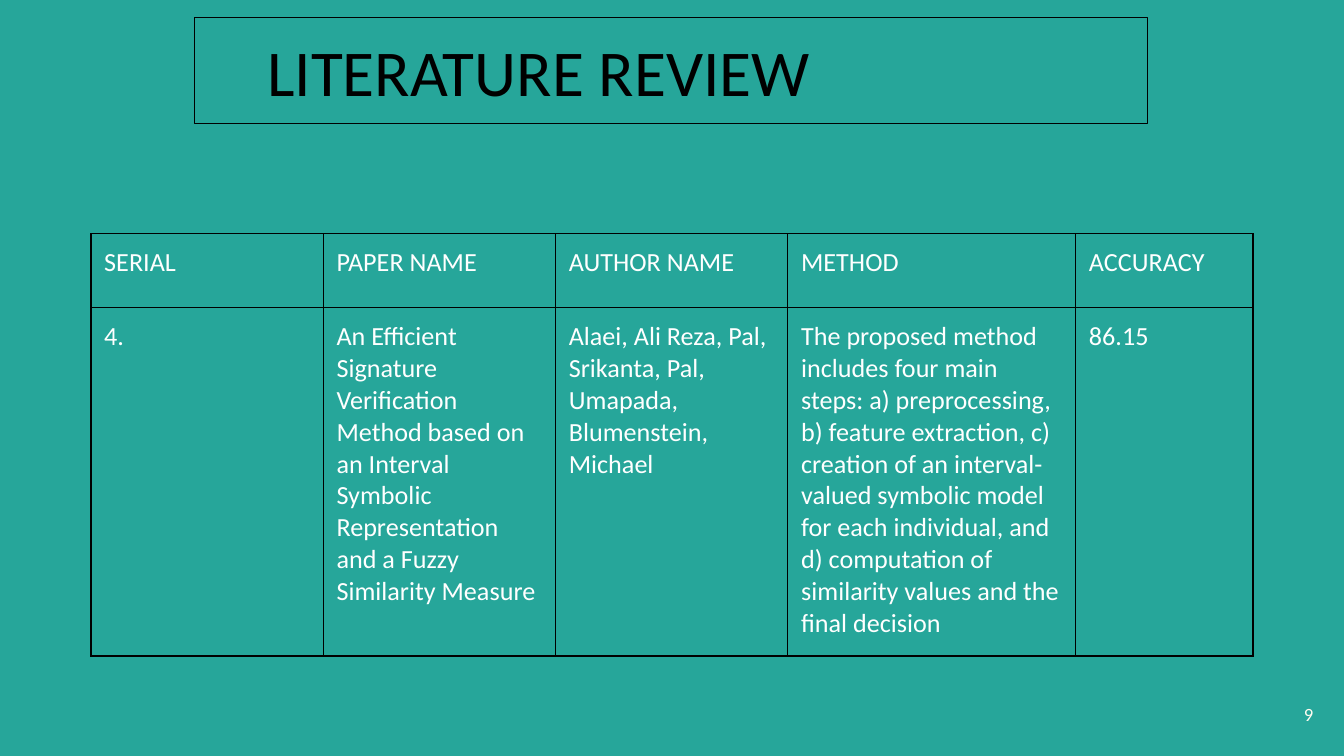
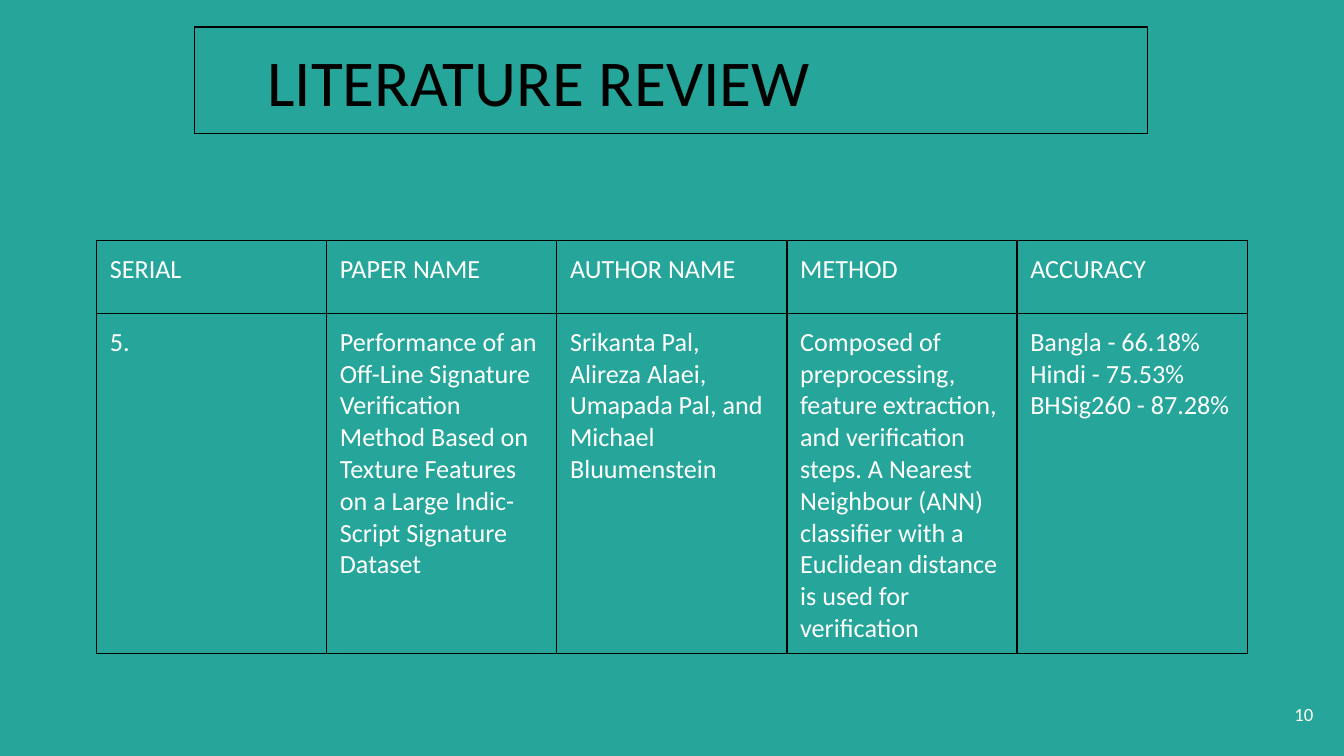
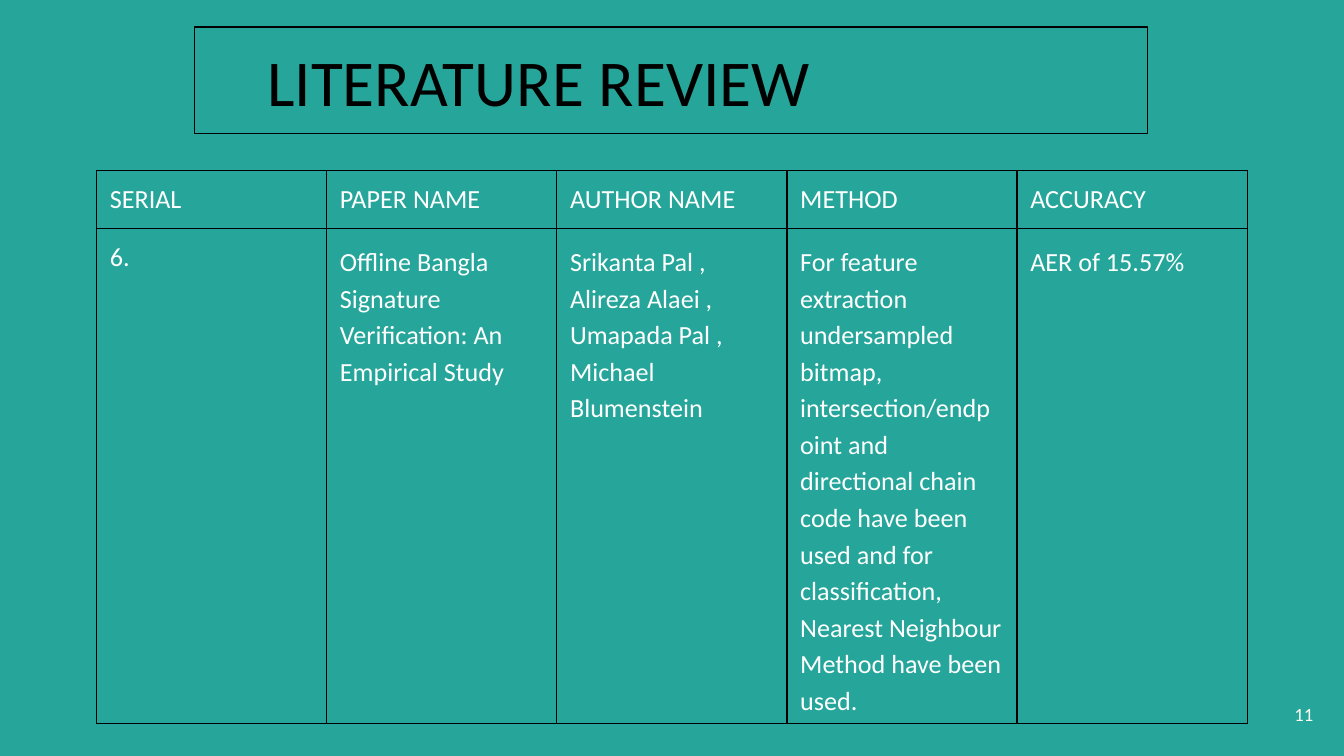
from dataclasses import dataclass

import pptx
import pptx.dml.color
import pptx.enum.shapes
import pptx.enum.text
import pptx.oxml.ns
import pptx.util
from lxml import etree
from pptx.util import Cm


@dataclass(frozen=True)
class Theme:
    background: str = "26A69A"
    ink: str = "000000"
    cell_text: str = "FFFFFF"
    number_text: str = "FFFBF0"
    font: str = "Calibri"
    title_size: int = 35
    table_size: int = 14
    number_size: int = 10
    line_width: float = 0.75
    inset: float = 0.25
    title_indent: float = 1.12


HEADINGS = ["SERIAL", "PAPER NAME", "AUTHOR NAME", "METHOD", "ACCURACY"]
EQUAL_COLUMNS = [4.35] * len(HEADINGS)

REVIEWS = [
    dict(
        number=9, title_top=0.33, table_top=4.42,
        columns=[4.39, 4.39, 4.39, 5.44, 3.35], rows=[1.4, 6.58], spacing=None,
        entry=[
            "4.",
            "An Efficient Signature Verification Method based on an Interval "
            "Symbolic Representation and a Fuzzy Similarity Measure",
            "Alaei, Ali Reza, Pal, Srikanta, Pal, Umapada, Blumenstein, Michael",
            "The proposed method includes four main steps: a) preprocessing, "
            "b) feature extraction, c) creation of an interval-valued symbolic "
            "model for each individual, and d) computation of similarity values "
            "and the final decision",
            "86.15",
        ],
    ),
    dict(
        number=10, title_top=0.51, table_top=4.55,
        columns=EQUAL_COLUMNS, rows=[1.37, 6.38], spacing=None,
        entry=[
            "5.",
            "Performance of an Off-Line Signature Verification Method Based on "
            "Texture Features on a Large Indic-Script Signature Dataset",
            "Srikanta Pal, Alireza Alaei, Umapada Pal, and Michael Bluumenstein",
            "Composed of preprocessing, feature extraction, and verification "
            "steps. A Nearest Neighbour (ANN) classifier with a Euclidean "
            "distance is used for verification",
            "Bangla - 66.18%\nHindi - 75.53%\nBHSig260 - 87.28%",
        ],
    ),
    dict(
        number=11, title_top=0.51, table_top=3.23,
        columns=EQUAL_COLUMNS, rows=[0.99, 8.46], spacing=1.15,
        entry=[
            "6.",
            "Offline Bangla Signature Verification: An Empirical Study",
            "Srikanta Pal , Alireza Alaei , Umapada Pal , Michael Blumenstein",
            "For feature extraction undersampled bitmap, intersection/endpoint "
            "and directional chain code have been used and for classification, "
            "Nearest Neighbour Method have been used.",
            "AER of 15.57%",
        ],
    ),
]


def rgb(code):
    return pptx.dml.color.RGBColor.from_string(code)


class Deck:
    def __init__(self, theme):
        self.theme = theme
        self.presentation = pptx.Presentation()
        self.presentation.slide_width = Cm(25.4)
        self.presentation.slide_height = Cm(14.29)
        self.slide = None

    def new_slide(self):
        blank = self.presentation.slide_layouts[6]
        self.slide = self.presentation.slides.add_slide(blank)
        fill = self.slide.background.fill
        fill.solid()
        fill.fore_color.rgb = rgb(self.theme.background)

    def set_insets(self, holder):
        """Give a text frame or a table cell the shared inner margins."""
        holder.margin_left = holder.margin_right = Cm(self.theme.inset)
        holder.margin_top = holder.margin_bottom = Cm(self.theme.inset)

    def add_text(self, frame, text, size, color, align="LEFT", spacing=None):
        """Fill a text frame, one paragraph for each line of text."""
        frame.word_wrap = True
        for index, line in enumerate(text.split("\n")):
            paragraph = frame.add_paragraph() if index else frame.paragraphs[0]
            paragraph.alignment = pptx.enum.text.PP_ALIGN[align]
            if spacing:
                paragraph.line_spacing = spacing
            run = paragraph.add_run()
            run.text = line
            run.font.name = self.theme.font
            run.font.size = pptx.util.Pt(size)
            run.font.color.rgb = rgb(color)

    def title(self, text, top):
        theme = self.theme
        banner = self.slide.shapes.add_shape(
            pptx.enum.shapes.MSO_SHAPE.RECTANGLE,
            Cm(3.68), Cm(top), Cm(18.01), Cm(2.01))
        banner.shadow.inherit = False
        banner.fill.background()
        banner.line.color.rgb = rgb(theme.ink)
        banner.line.width = pptx.util.Pt(theme.line_width)
        frame = banner.text_frame
        self.set_insets(frame)
        frame.vertical_anchor = pptx.enum.text.MSO_ANCHOR.MIDDLE
        self.add_text(frame, text, theme.title_size, theme.ink)
        properties = frame.paragraphs[0]._p.get_or_add_pPr()
        properties.set("marL", str(Cm(theme.title_indent)))

    def page_number(self, number):
        box = self.slide.shapes.add_textbox(
            Cm(23.55), Cm(12.95), Cm(1.52), Cm(1.09))
        frame = box.text_frame
        self.set_insets(frame)
        frame.vertical_anchor = pptx.enum.text.MSO_ANCHOR.MIDDLE
        self.add_text(frame, str(number), self.theme.number_size,
                      self.theme.number_text, "RIGHT")

    def outline(self, cell):
        qn = pptx.oxml.ns.qn
        properties = cell._tc.get_or_add_tcPr()
        width = str(pptx.util.Pt(self.theme.line_width))
        for side in ("lnL", "lnR", "lnT", "lnB"):
            border = etree.SubElement(properties, qn("a:" + side), w=width)
            fill = etree.SubElement(border, qn("a:solidFill"))
            etree.SubElement(fill, qn("a:srgbClr"), val=self.theme.ink)

    def review_table(self, entry, top, columns, rows, spacing):
        """Draw the headings and one reviewed paper, centred on the slide."""
        width = Cm(sum(columns))
        left = (self.presentation.slide_width - width) // 2
        table = self.slide.shapes.add_table(
            len(rows), len(columns), left, Cm(top), width, Cm(sum(rows))).table
        table.first_row = table.horz_banding = False
        for column, column_width in zip(table.columns, columns):
            column.width = Cm(column_width)
        for row, height, texts in zip(table.rows, rows, (HEADINGS, entry)):
            row.height = Cm(height)
            for index, (cell, text) in enumerate(zip(row.cells, texts)):
                self.set_insets(cell)
                self.outline(cell)
                cell.fill.background()
                described = texts is entry and index > 0
                self.add_text(cell.text_frame, text, self.theme.table_size,
                              self.theme.cell_text,
                              spacing=spacing if described else None)


def main():
    deck = Deck(Theme())
    for review in REVIEWS:
        deck.new_slide()
        deck.title("LITERATURE REVIEW", review["title_top"])
        deck.review_table(review["entry"], review["table_top"],
                          review["columns"], review["rows"], review["spacing"])
        deck.page_number(review["number"])
    deck.presentation.save("out.pptx")


if __name__ == "__main__":
    main()
